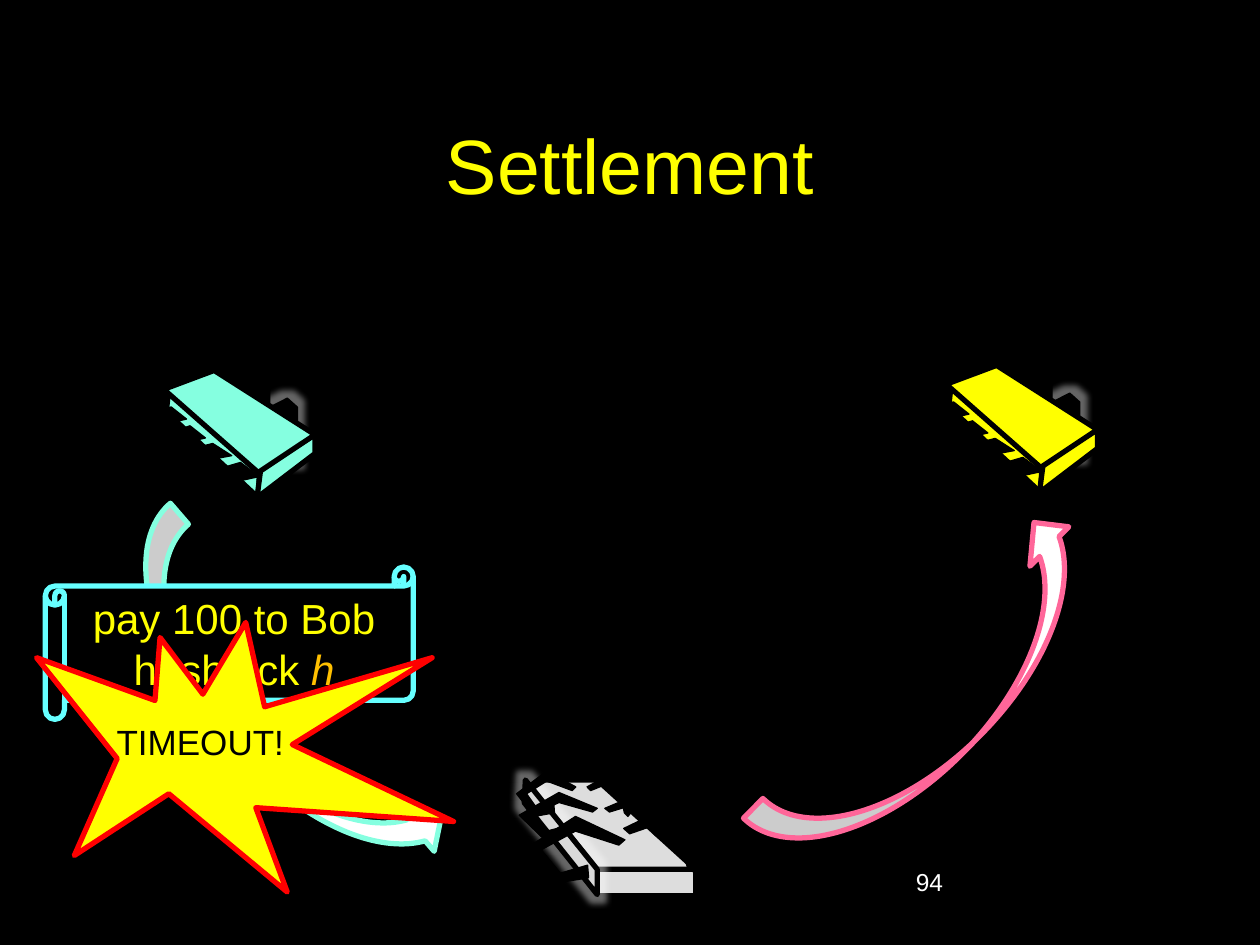
from dataclasses import dataclass
from lxml.etree import SubElement
from pptx import Presentation
from pptx.dml.color import RGBColor
from pptx.enum.shapes import MSO_SHAPE
from pptx.enum.text import MSO_ANCHOR, PP_ALIGN
from pptx.oxml.ns import qn
from pptx.util import Inches, Pt


@dataclass(frozen=True)
class Theme:
    font: str = "Arial"
    black: str = "000000"
    white: str = "FFFFFF"
    yellow: str = "FFFF00"
    amber: str = "FFC000"
    mint: str = "85FFE0"
    cyan: str = "66FFFF"
    pink: str = "FF6699"
    red: str = "FF0000"
    grey: str = "DDDDDD"
    side_grey: str = "D9D9D9"
    title_size: int = 44
    scroll_size: int = 24
    burst_size: int = 20
    number_size: int = 14
    thick: float = 3
    thin: float = 0.75


THEME = Theme()

TITLE = ("Settlement", (0.75, 0.67, 8.5, 1.25))
PAGE_NUMBER = ("94", (7.17, 6.83, 2.08, 0.5))
TIMEOUT = ("TIMEOUT!", (0.82, 5.67, 1.54, 0.44))
SCROLL = (("pay 100 to Bob hashlock ", "h"), (0.36, 4.5, 2.92, 1.21))
ARROWS = [
    ((0.41, 5.17, 3.51, 0.88), 229.2, THEME.mint),
    ((5.69, 5.11, 3.51, 0.88), 134.5, THEME.pink),
]

UPPER_LEG = [(0, 0.14), (0.64, 0), (1, 0.14), (1, 1), (0.64, 0.86), (0.64, 0.29), (0, 0.43)]
LOWER_LEG = [(0.58, 0), (1, 0.22), (0.28, 0.33), (0.28, 1), (0, 0.78), (0, 0.12)]
LEFT_LOOP = [(0.63, 0.73), (0.64, 0.92), (0.3, 1), (0, 0.5), (0.51, 0), (1, 0.35),
             (0.94, 0.43), (0.51, 0.22), (0.17, 0.5), (0.36, 0.85)]
RIGHT_LOOP = [(0.6, 0.74), (0.63, 0.92), (0.69, 1), (1, 0.49), (0.48, 0), (0, 0.35),
              (0.06, 0.43), (0.48, 0.21), (0.83, 0.49), (0.63, 0.85)]

CHIP_ORIGINS = {"yellow": (7.4, 2.9), "mint": (1.19, 2.94)}
UPPER_LEGS = [(1.19, 0.37, 0.22, 0.51), (0.95, 0.22, 0.22, 0.51),
              (0.73, 0.07, 0.22, 0.51), (0.51, 0, 0.22, 0.44)]
GLOWING_LEG = 1
LOWER_LEGS = [(0.51, 0.73, 0.36, 0.51), (0.29, 0.58, 0.36, 0.44),
              (0.15, 0.44, 0.29, 0.44), (0, 0.29, 0.29, 0.44)]
CHIP_SIDES = [
    [(0.15, 0.15), (0.87, 0.8), (0.86, 1.01), (0.13, 0.33)],
    [(1.31, 0.51), (1.31, 0.66), (0.85, 1.01), (0.88, 0.78)],
]
CHIP_TOP = [(0.51, 0), (1.31, 0.51), (0.86, 0.81), (0.11, 0.15)]

TRAY_TOP = [(4.17, 6.19), (4.74, 6.9), (5.52, 6.9), (4.74, 6.19)]
TRAY_FRONT = [(4.74, 6.9), (5.52, 6.9), (5.52, 7.11), (4.74, 7.11)]
TRAY_SIDE = [(4.17, 6.19), (4.16, 6.37), (4.74, 7.1), (4.74, 6.9)]
TRAY_LOOPS = [
    (LEFT_LOOP, (4.16, 6.48, 0.8, 0.53)),
    (LEFT_LOOP, (4.12, 6.29, 0.62, 0.36)),
    (LEFT_LOOP, (4.1, 6.12, 0.47, 0.36)),
    (RIGHT_LOOP, (4.8, 6.29, 0.62, 0.36)),
    (RIGHT_LOOP, (4.66, 6.12, 0.47, 0.36)),
    (RIGHT_LOOP, (4.95, 6.39, 0.8, 0.53)),
]
BURST = [(1.61, 5.51), (1.27, 5.06), (1.23, 5.56), (0.29, 5.22), (0.93, 6.02),
         (0.59, 6.79), (1.34, 6.3), (2.28, 7.08), (2.03, 6.41), (3.6, 6.52),
         (2.32, 5.91), (3.43, 5.22), (2.1, 5.61), (1.95, 4.94)]


def color(value):
    return RGBColor.from_string(value)


def paint(shape, fill, line, width):
    shape.shadow.inherit = False
    shape.fill.solid()
    shape.fill.fore_color.rgb = color(fill)
    shape.line.color.rgb = color(line)
    shape.line.width = Pt(width)


def fit(unit, frame):
    left, top, width, height = frame
    return [(left + x * width, top + y * height) for x, y in unit]


def add_outline(shapes, points, fill, line=THEME.black, width=THEME.thick):
    corners = [(Inches(x), Inches(y)) for x, y in points]
    builder = shapes.build_freeform(*corners[0], scale=1.0)
    builder.add_line_segments(corners[1:], close=True)
    shape = builder.convert_to_shape()
    paint(shape, fill, line, width)
    return shape


def add_part(shapes, unit, frame):
    return add_outline(shapes, fit(unit, frame), THEME.black, width=THEME.thin)


def add_glow(shape):
    effects = shape._element.spPr.find(qn("a:effectLst"))
    glow = SubElement(effects, qn("a:glow"), rad=str(Inches(0.1)))
    tint = SubElement(glow, qn("a:srgbClr"), val=THEME.white)
    SubElement(tint, qn("a:alpha"), val="40000")


def add_preset(page, preset, frame, fill, line):
    shape = page.shapes.add_shape(preset, *map(Inches, frame))
    paint(shape, fill, line, THEME.thick)
    return shape


def style(paragraph, size, ink, align):
    paragraph.alignment = align
    paragraph.font.name = THEME.font
    paragraph.font.size = Pt(size)
    paragraph.font.color.rgb = color(ink)


def add_text(shapes, content, size, ink, align, anchor=MSO_ANCHOR.TOP, wrap=True):
    text, frame = content
    box = shapes.add_textbox(*map(Inches, frame))
    box.text_frame.word_wrap = wrap
    box.text_frame.vertical_anchor = anchor
    para = box.text_frame.paragraphs[0]
    para.add_run().text = text
    style(para, size, ink, align)


def add_chip(page, origin, fill):
    left, top = origin
    chip = page.shapes.add_group_shape().shapes

    def move(points):
        return [(left + x, top + y) for x, y in points]

    def place(frame):
        return (left + frame[0], top + frame[1], *frame[2:])

    for index, frame in enumerate(UPPER_LEGS):
        leg = add_part(chip, UPPER_LEG, place(frame))
        if index == GLOWING_LEG:
            add_glow(leg)
    for side in CHIP_SIDES:
        add_outline(chip, move(side), fill)
    for frame in LOWER_LEGS:
        add_part(chip, LOWER_LEG, place(frame))
    add_outline(chip, move(CHIP_TOP), fill)


def add_scroll(page):
    (message, symbol), frame = SCROLL
    scroll = add_preset(page, MSO_SHAPE.HORIZONTAL_SCROLL, frame, THEME.black, THEME.cyan)
    scroll.text_frame.word_wrap = True
    scroll.text_frame.vertical_anchor = MSO_ANCHOR.MIDDLE
    para = scroll.text_frame.paragraphs[0]
    para.add_run().text = message
    span = para.add_run()
    span.text = symbol
    style(para, THEME.scroll_size, THEME.yellow, PP_ALIGN.CENTER)
    span.font.italic = True
    span.font.color.rgb = color(THEME.amber)


def add_tray(page):
    tray = page.shapes.add_group_shape().shapes
    add_outline(tray, TRAY_TOP, THEME.grey)
    add_outline(tray, TRAY_FRONT, THEME.grey)
    add_glow(add_outline(tray, TRAY_SIDE, THEME.side_grey))
    for unit, frame in TRAY_LOOPS:
        add_part(tray, unit, frame)


def main():
    """Build the settlement slide with its timed-out payment."""
    deck = Presentation()
    deck.slide_width, deck.slide_height = Inches(10), Inches(7.5)
    page = deck.slides.add_slide(deck.slide_layouts[6])
    page.background.fill.solid()
    page.background.fill.fore_color.rgb = color(THEME.black)

    add_chip(page, CHIP_ORIGINS["yellow"], THEME.yellow)
    add_text(page.shapes, TITLE, THEME.title_size, THEME.yellow, PP_ALIGN.CENTER, MSO_ANCHOR.MIDDLE)
    add_text(page.shapes, PAGE_NUMBER, THEME.number_size, THEME.white, PP_ALIGN.LEFT)
    for frame, angle, line in ARROWS:
        arrow = add_preset(page, MSO_SHAPE.CURVED_DOWN_ARROW, frame, THEME.white, line)
        arrow.rotation = angle
        arrow._element.spPr.xfrm.set("flipH", "1")
    add_scroll(page)
    burst = page.shapes.add_group_shape().shapes
    add_outline(burst, BURST, THEME.yellow, THEME.red)
    add_text(burst, TIMEOUT, THEME.burst_size, THEME.black, PP_ALIGN.CENTER, wrap=False)
    add_chip(page, CHIP_ORIGINS["mint"], THEME.mint)
    add_tray(page)
    deck.save("out.pptx")


if __name__ == "__main__":
    main()
